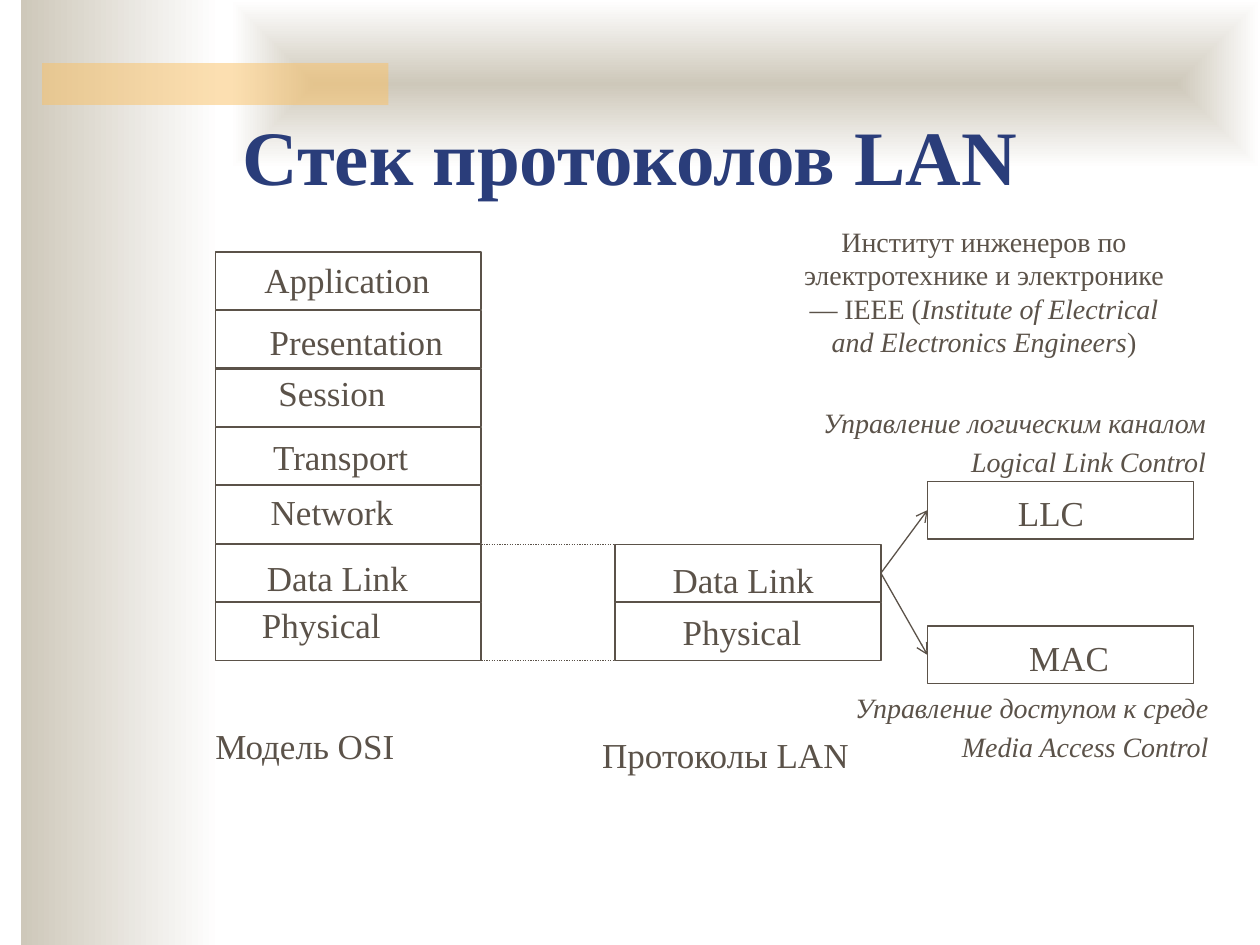
from dataclasses import dataclass
from typing import NamedTuple

from lxml.etree import SubElement
from pptx import Presentation
from pptx.dml.color import RGBColor
from pptx.enum.dml import MSO_LINE
from pptx.enum.shapes import MSO_CONNECTOR, MSO_SHAPE
from pptx.enum.text import MSO_ANCHOR, MSO_AUTO_SIZE, PP_ALIGN
from pptx.oxml.ns import qn
from pptx.util import Pt


@dataclass(frozen=True)
class Theme:
    """Colours, font and type sizes of the deck."""
    ink: RGBColor = RGBColor(0x5B, 0x52, 0x49)
    title: RGBColor = RGBColor(0x2A, 0x3D, 0x7A)
    sand: RGBColor = RGBColor(0xCE, 0xC8, 0xBA)
    paper: RGBColor = RGBColor(0xFF, 0xFF, 0xFF)
    amber: RGBColor = RGBColor(0xFA, 0xC1, 0x64)
    font: str = "Times New Roman"
    title_size: int = 44
    label_size: int = 20
    note_size: int = 16
    line: float = 0.75


class Box(NamedTuple):
    """A rectangle in points."""
    left: float
    top: float
    width: float
    height: float

    def lengths(self):
        """Return the four sides as lengths."""
        return [Pt(value) for value in self]


class Label(NamedTuple):
    """A layer name, its offset inside the cell and its width."""
    text: str
    across: float
    down: float
    width: float


THEME = Theme()
CELL_WIDTH, CELL_HEIGHT, CELL_PITCH = 152, 33, 33.4
LABEL_HEIGHT = 31.7
OSI_LAYERS = [
    Label("Application", 21, 0, 109.4),
    Label("Presentation", 24, 2, 114.5),
    Label("Session", 29, -2, 76.3),
    Label("Transport", 26, 1.3, 92.2),
    Label("Network", 24.6, -1.1, 85),
    Label("Data Link", 22.4, 3.6, 95.8),
    Label("Physical", 19.6, -3.1, 82.8),
]
LAN_LAYERS = [Label("Data Link", 25.9, 4.4, 95.8), Label("Physical", 31.6, 1.2, 82.8)]
LLC = Label("LLC", 44.6, 2.2, 52.6)
MAC = Label("MAC", 51, 2.2, 60.5)


def style_span(span, size, color=THEME.ink, bold=False, italic=False):
    """Give one run the theme font with its size, colour and weight."""
    span.font.name = THEME.font
    span.font.size = Pt(size)
    span.font.color.rgb = color
    span.font.bold = bold
    span.font.italic = italic


def add_text(page, box, paragraphs, size, align=PP_ALIGN.LEFT, wrap=True, space=20):
    """Add a text box from paragraphs, each a list of (text, italic) pairs."""
    shape = page.shapes.add_textbox(*box.lengths())
    frame = shape.text_frame
    frame.word_wrap = wrap
    frame.auto_size = MSO_AUTO_SIZE.SHAPE_TO_FIT_TEXT
    for index, pieces in enumerate(paragraphs):
        para = frame.paragraphs[0] if index == 0 else frame.add_paragraph()
        para.alignment = align
        before = SubElement(para._p.get_or_add_pPr(), qn("a:spcBef"))
        SubElement(before, qn("a:spcPct"), val=str(space * 1000))
        for text, italic in pieces:
            span = para.add_run()
            span.text = text
            style_span(span, size, italic=italic)


def add_panel(page, box):
    """Add a borderless rectangle to the slide master behind its placeholders."""
    shape = page.shapes.add_shape(MSO_SHAPE.RECTANGLE, *box.lengths())
    shape.shadow.inherit = False
    shape.line.fill.background()
    tree = page.slide_layout.slide_master.shapes._spTree
    shape._element.nvSpPr.cNvPr.set("id", str(100 + len(tree)))
    tree.append(shape._element)
    return shape


def add_gradient_panel(page, box):
    """Add a panel that fades from sand to paper and return its gradient."""
    shape = add_panel(page, box)
    shape.fill.gradient()
    shape.fill.gradient_angle = 0
    for stop, color in zip(shape.fill.gradient_stops, (THEME.sand, THEME.paper)):
        stop.color.rgb = color
    return shape._element.spPr.find(qn("a:gradFill"))


def add_backdrop(page, box):
    """Draw the side band, the top band and the amber bar."""
    left, top, width, height = box
    add_gradient_panel(page, Box(left + 12, top, 114, height))
    gradient = add_gradient_panel(page, Box(left + 132, top, width - 132, 96))
    gradient.remove(gradient.find(qn("a:lin")))
    shade = SubElement(gradient, qn("a:path"), path="shape")
    SubElement(shade, qn("a:fillToRect"), l="50000", t="50000", r="50000", b="50000")
    bar = add_panel(page, Box(left + 24, top + 36, 198, 24))
    bar.fill.solid()
    bar.fill.fore_color.rgb = THEME.amber
    color = bar._element.spPr.find(qn("a:solidFill")).find(qn("a:srgbClr"))
    SubElement(color, qn("a:alpha"), val="50000")


def add_title(page, box, text):
    """Place and format the title placeholder."""
    title = page.shapes.title
    title.left, title.top, title.width, title.height = box.lengths()
    frame = title.text_frame
    frame.text = text
    frame.auto_size = MSO_AUTO_SIZE.NONE
    frame.vertical_anchor = MSO_ANCHOR.MIDDLE
    para = frame.paragraphs[0]
    para.alignment = PP_ALIGN.CENTER
    style_span(para.runs[0], THEME.title_size, THEME.title, bold=True)


def add_cell(page, box, label):
    """Draw one outlined layer with its name."""
    cell = page.shapes.add_shape(MSO_SHAPE.RECTANGLE, *box.lengths())
    cell.shadow.inherit = False
    cell.fill.background()
    cell.line.color.rgb = THEME.ink
    cell.line.width = Pt(THEME.line)
    spot = Box(box.left + label.across, box.top + label.down, label.width, LABEL_HEIGHT)
    add_text(page, spot, [[(label.text, False)]], THEME.label_size, wrap=False)
    return cell


def add_stack(page, box, labels):
    """Stack equal layers downwards from the top of the box."""
    return [
        add_cell(page, Box(box.left, box.top + row * CELL_PITCH, box.width, CELL_HEIGHT), label)
        for row, label in enumerate(labels)
    ]


def add_line(page, start, end):
    """Draw a thin straight connector between two points."""
    line = page.shapes.add_connector(MSO_CONNECTOR.STRAIGHT, *map(Pt, start + end))
    line.line.color.rgb = THEME.ink
    line.line.width = Pt(THEME.line)
    SubElement(line._element.spPr, qn("a:effectLst"))
    return line


def add_arrow(page, source, target):
    """Join the right side of one cell to the left side of another."""
    arrow = add_line(page, (0, 0), (0, 0))
    arrow.begin_connect(source, 3)
    arrow.end_connect(target, 1)
    SubElement(arrow.line._get_or_add_ln(), qn("a:tailEnd"), type="arrow")


def main():
    """Build the slide and save it."""
    deck = Presentation()
    deck.slide_width, deck.slide_height = Pt(720), Pt(540)
    page = deck.slides.add_slide(deck.slide_layouts[5])
    add_backdrop(page, Box(0, 0, 720, 540))
    add_title(page, Box(54, 54.7, 612, 67.7), "Стек протоколов LAN")

    osi = Box(123, 144, CELL_WIDTH, 7 * CELL_PITCH)
    lan = Box(351.4, osi.top + 5 * CELL_PITCH, CELL_WIDTH, 2 * CELL_PITCH)
    add_stack(page, osi, OSI_LAYERS)
    data_link = add_stack(page, lan, LAN_LAYERS)[0]
    for height in (lan.top, lan.top + CELL_PITCH + CELL_HEIGHT):
        guide = add_line(page, (osi.left + osi.width, height), (lan.left, height))
        guide.line.dash_style = MSO_LINE.ROUND_DOT
    for top, label in ((275, LLC), (357.8, MAC)):
        add_arrow(page, data_link, add_cell(page, Box(530, top, CELL_WIDTH, CELL_HEIGHT), label))

    captions = ((Box(116, 410.4, 160.6, 31.7), "Модель OSI"),
                (Box(337, 415.4, 160.6, 31.7), "Протоколы LAN"))
    for box, text in captions:
        add_text(page, box, [[(text, False)]], THEME.label_size, space=50)

    institute = [("Институт инженеров по электротехнике и электронике — IEEE (", False),
                 ("Institute of Electrical and Electronics Engineers", True), (")", False)]
    add_text(page, Box(442.8, 124.6, 239, 104.4), [institute], THEME.note_size, PP_ALIGN.CENTER)
    notes = ((Box(282.2, 228.2, 414, 49.7), "Управление логическим каналом", "Logical Link Control"),
             (Box(297.4, 391, 400.3, 49.7), "Управление доступом к среде", "Media Access Control"))
    for box, *lines in notes:
        add_text(page, box, [[(line, True)] for line in lines], THEME.note_size, PP_ALIGN.RIGHT)
    deck.save("out.pptx")


if __name__ == "__main__":
    main()
